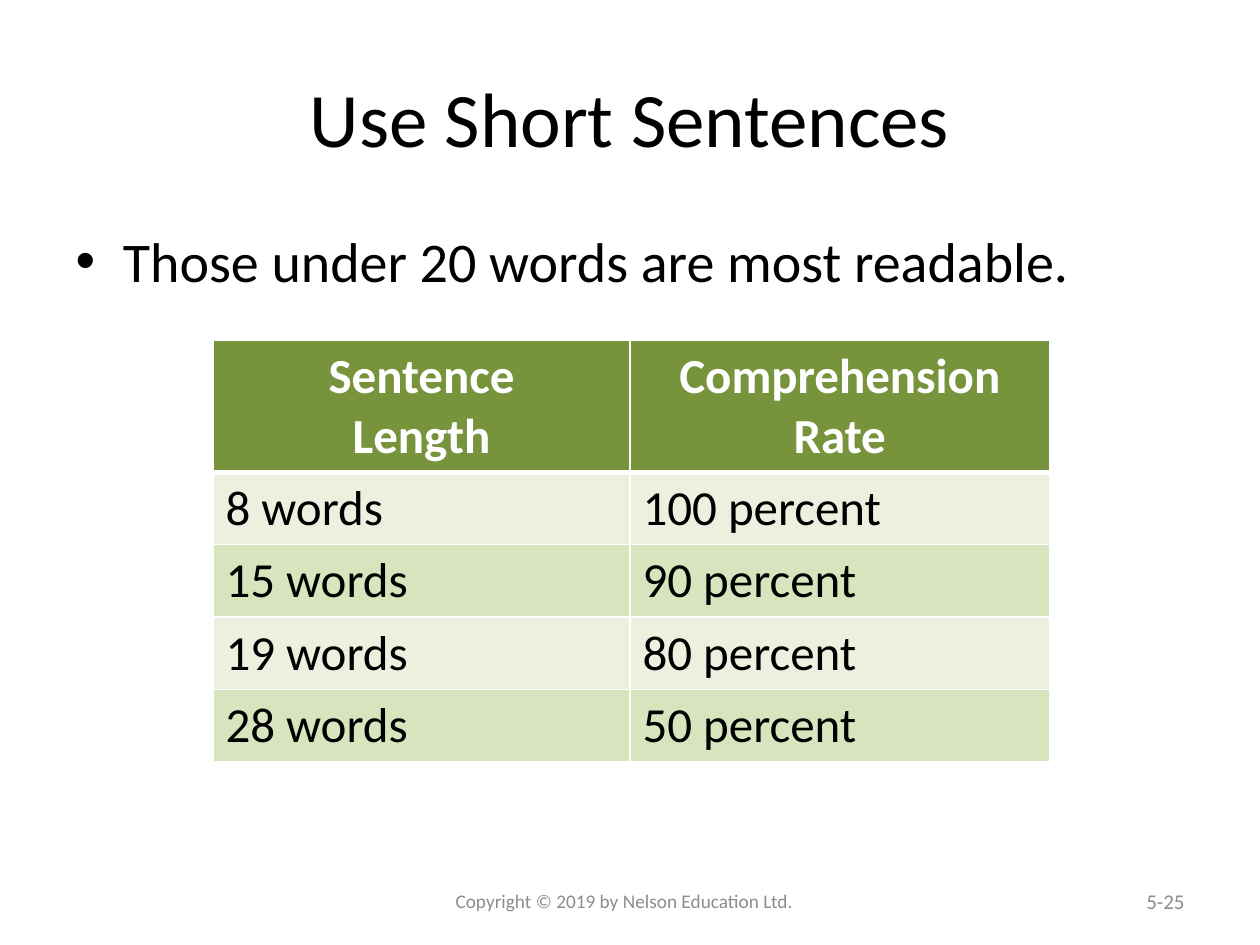
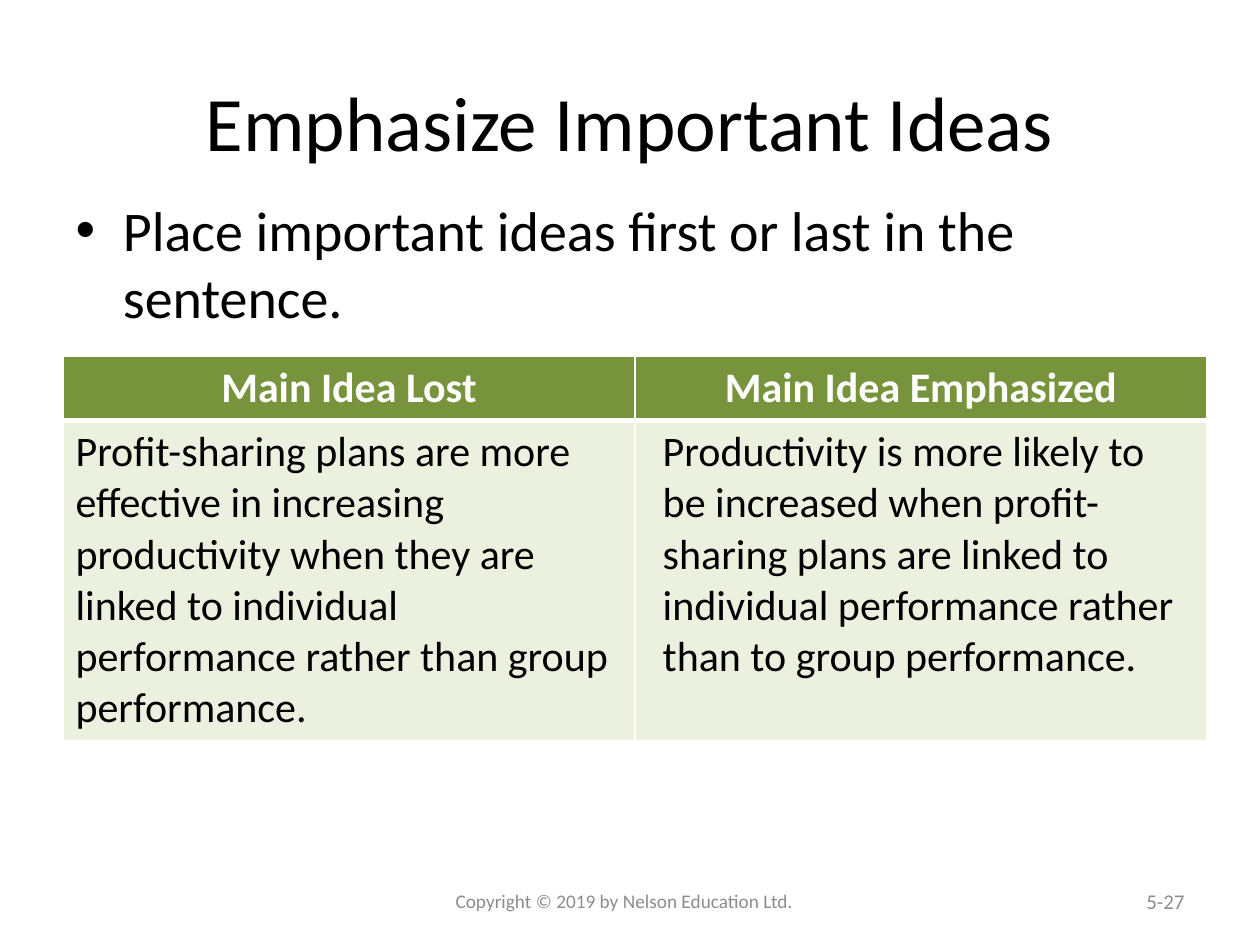
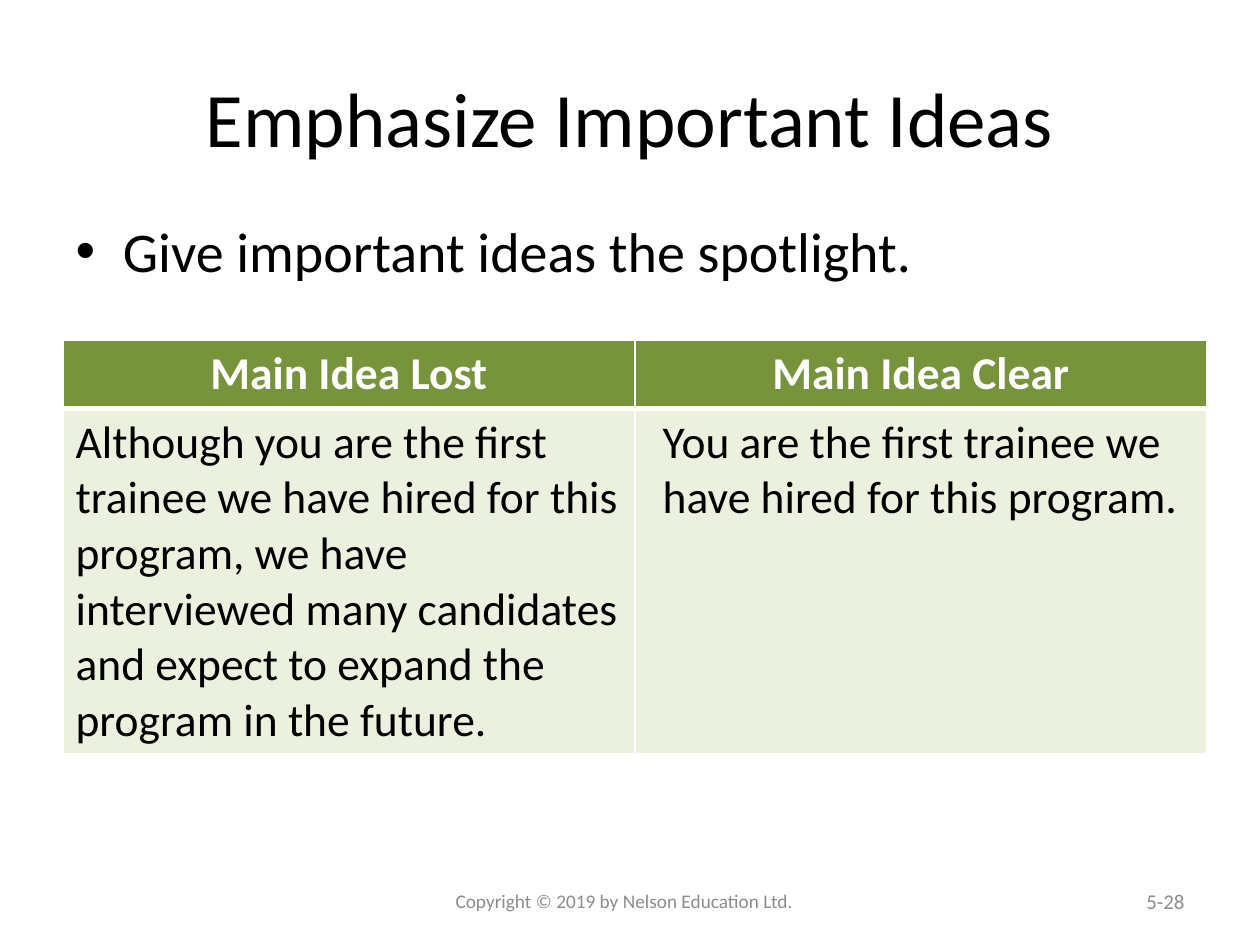
"""Build three writing-advice slides with green comparison tables."""
from dataclasses import dataclass

from pptx import Presentation
from pptx.dml.color import RGBColor
from pptx.enum.text import MSO_ANCHOR, MSO_AUTO_SIZE, PP_ALIGN
from pptx.oxml import parse_xml
from pptx.oxml.ns import nsdecls
from pptx.util import Inches, Pt


@dataclass(frozen=True)
class Theme:
    font: str = "Calibri"
    text: str = "000000"
    background: str = "FFFFFF"
    muted: str = "8C8C8C"
    header_fill: str = "77933C"
    band_fills: tuple = ("D7E4BD", "EBF1DE")
    title_size: int = 44
    body_size: int = 32
    footer_size: int = 11
    number_size: int = 12
    line_spacing: float = 1.22
    thin_border: int = 1
    thick_border: int = 3


def write_text(paragraph, text, *, font, size, color, bold=False,
               align=PP_ALIGN.LEFT, indent=None):
    if indent is not None:
        paragraph._p.get_or_add_pPr().set("marL", str(Inches(indent)))
    paragraph.alignment = align
    paragraph.space_before = Pt(0)
    run = paragraph.add_run()
    run.text = text
    run.font.name = font
    run.font.size = Pt(size)
    run.font.bold = bold
    run.font.color.rgb = RGBColor.from_string(color)


class SlideBuilder:
    def __init__(self, presentation, theme):
        self.presentation = presentation
        self.theme = theme
        self.slide = None

    def start(self, number):
        self.slide = self.presentation.slides.add_slide(
            self.presentation.slide_layouts[1])
        fill = self.slide.background.fill
        fill.solid()
        fill.fore_color.rgb = RGBColor.from_string(self.theme.background)
        self.footer("Copyright © 2019 by Nelson Education Ltd.", 3.42, 3.17,
                    self.theme.footer_size, PP_ALIGN.CENTER, 0.2)
        self.footer(number, 7.17, 2.33, self.theme.number_size,
                    PP_ALIGN.RIGHT, 0.1)

    def place(self, shape, left, top, width, height):
        shape.left, shape.top = Inches(left), Inches(top)
        shape.width, shape.height = Inches(width), Inches(height)

    def placeholder(self, shape, text, top, height, size, anchor, align):
        self.place(shape, 0.5, top, 9, height)
        frame = shape.text_frame
        frame.auto_size = MSO_AUTO_SIZE.NONE
        frame.vertical_anchor = anchor
        write_text(frame.paragraphs[0], text, font=self.theme.font, size=size,
                   color=self.theme.text, align=align)

    def title(self, text, top):
        self.placeholder(self.slide.shapes.title, text, top, 1.25,
                         self.theme.title_size, MSO_ANCHOR.MIDDLE,
                         PP_ALIGN.CENTER)

    def bullet(self, text, top):
        self.placeholder(self.slide.placeholders[1], text, top, 4.95,
                         self.theme.body_size, MSO_ANCHOR.TOP, PP_ALIGN.LEFT)

    def footer(self, text, left, width, size, align, right_margin):
        box = self.slide.shapes.add_textbox(
            Inches(left), Inches(6.95), Inches(width), Inches(0.4))
        frame = box.text_frame
        frame.word_wrap = True
        frame.vertical_anchor = MSO_ANCHOR.MIDDLE
        frame.margin_right = Inches(right_margin)
        write_text(frame.paragraphs[0], text, font=self.theme.font, size=size,
                   color=self.theme.muted, align=align)

    def borders(self, cell, top, bottom):
        thin = self.theme.thin_border
        properties = cell._tc.get_or_add_tcPr()
        for side, width in zip("LRTB", (thin, thin, top, bottom)):
            properties.append(parse_xml(
                f'<a:ln{side} {nsdecls("a")} w="{Pt(width)}"><a:solidFill>'
                f'<a:srgbClr val="{self.theme.background}"/>'
                f'</a:solidFill></a:ln{side}>'))

    def cell(self, cell, text, row, size, indent):
        theme = self.theme
        is_header = row == 0
        self.borders(cell,
                     theme.thick_border if row == 1 else theme.thin_border,
                     theme.thick_border if is_header else theme.thin_border)
        cell.fill.solid()
        cell.fill.fore_color.rgb = RGBColor.from_string(
            theme.header_fill if is_header else theme.band_fills[row % 2])
        frame = cell.text_frame
        for index, line in enumerate(text.split("\n")):
            paragraph = frame.add_paragraph() if index else frame.paragraphs[0]
            write_text(paragraph, line, font=theme.font, size=size,
                       color=theme.background if is_header else theme.text,
                       bold=is_header, indent=None if is_header else indent,
                       align=PP_ALIGN.CENTER if is_header else PP_ALIGN.LEFT)

    def table(self, rows, left, top, widths, size, line_counts, indents=(0, 0)):
        heights = [0.1 + lines * size * self.theme.line_spacing / 72
                   for lines in line_counts]
        table = self.slide.shapes.add_table(
            len(rows), len(widths), Inches(left), Inches(top),
            Inches(sum(widths)), Inches(sum(heights))).table
        for column, width in zip(table.columns, widths):
            column.width = Inches(width)
        for row_index, (texts, height) in enumerate(zip(rows, heights)):
            table.rows[row_index].height = Inches(height)
            for column_index, text in enumerate(texts):
                self.cell(table.cell(row_index, column_index), text, row_index,
                          size, indents[column_index])

    def comparison(self, rows, top, size):
        self.table(rows, 0.5, top, (4.54, 4.54), size, (1, 6), (0, 0.12))


def short_sentences(builder):
    builder.start("5-25")
    builder.title("Use Short Sentences", 0.3)
    builder.bullet("Those under 20 words are most readable.", 1.75)
    rates = [("Sentence\nLength", "Comprehension Rate"),
             ("8 words", "100 percent"),
             ("15 words", "90 percent"),
             ("19 words", "80 percent"),
             ("28 words", "50 percent")]
    # band colours alternate from the first data row
    builder.theme, theme = Theme(
        band_fills=builder.theme.band_fills), builder.theme
    builder.table(rates, 1.69, 2.7, (3.31, 3.33), 28, (2, 1, 1, 1, 1))
    builder.theme = theme


def idea_position(builder):
    builder.start("5-27")
    builder.title("Emphasize Important Ideas", 0.33)
    builder.bullet("Place important ideas first or last in the sentence.", 1.5)
    builder.comparison([
        ("Main Idea Lost", "Main Idea Emphasized"),
        ("Profit-sharing plans are more effective in increasing productivity "
         "when they are linked to individual performance rather than group "
         "performance.",
         "Productivity is more likely to be increased when profit-sharing "
         "plans are linked to individual performance rather than to group "
         "performance.")], 2.83, 24)


def idea_spotlight(builder):
    builder.start("5-28")
    builder.title("Emphasize Important Ideas", 0.3)
    builder.bullet("Give important ideas the spotlight.", 1.67)
    builder.comparison([
        ("Main Idea Lost", "Main Idea Clear"),
        ("Although you are the first trainee we have hired for this program, "
         "we have interviewed many candidates and expect to expand the "
         "program in the future.",
         "You are the first trainee we have hired for this program.")],
        2.7, 26)


def main():
    presentation = Presentation()
    presentation.slide_width = Inches(10)
    presentation.slide_height = Inches(7.5)
    builder = SlideBuilder(presentation, Theme())
    for build_slide in (short_sentences, idea_position, idea_spotlight):
        build_slide(builder)
    presentation.save("out.pptx")


if __name__ == "__main__":
    main()
